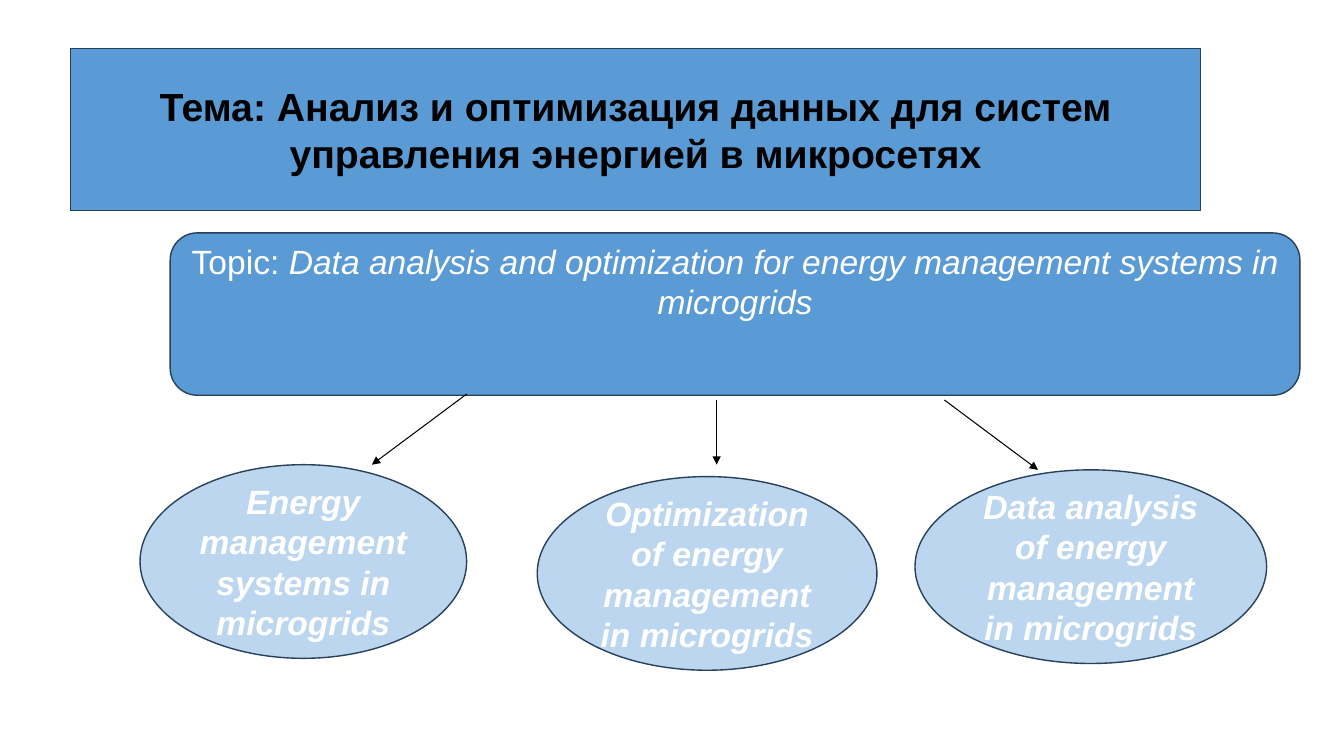
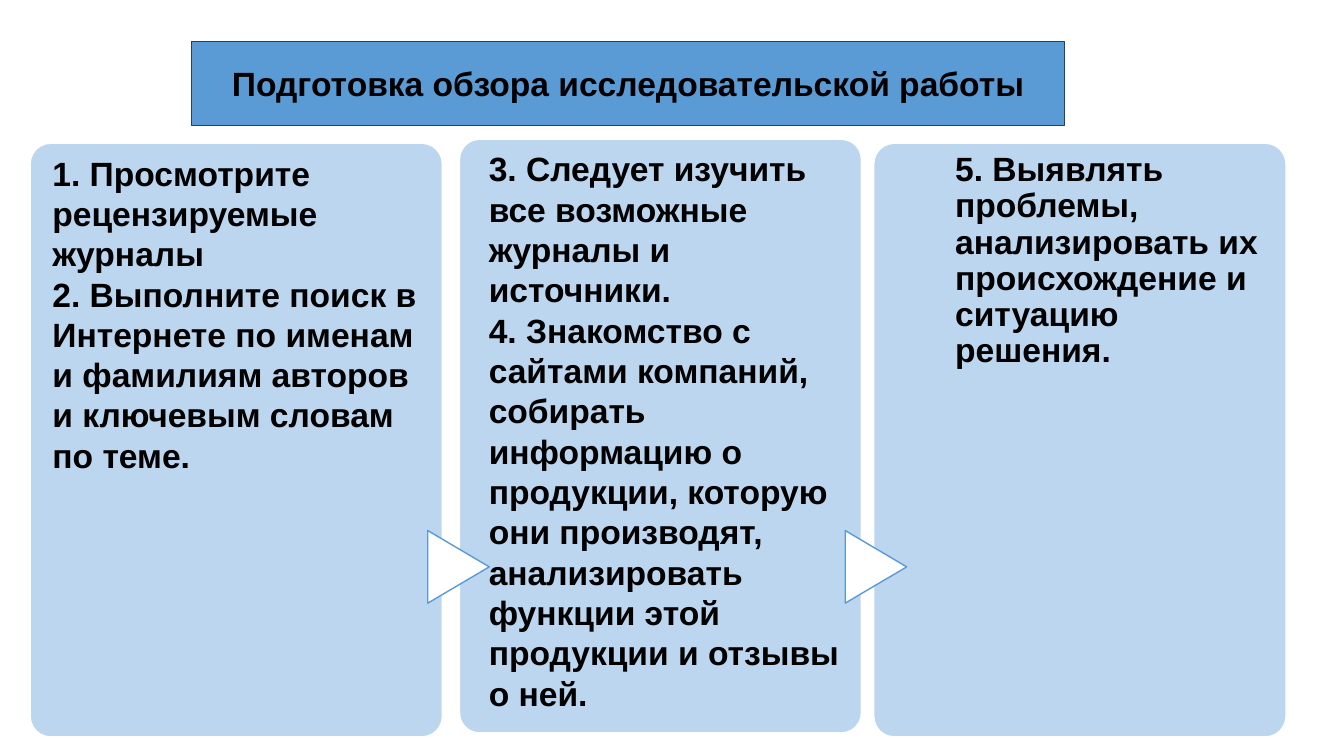
"""Build two slides on data analysis for microgrid energy management."""
from dataclasses import dataclass
from typing import NamedTuple

from lxml.etree import SubElement as Sub
from pptx import Presentation
from pptx.dml.color import RGBColor
from pptx.enum.shapes import MSO_CONNECTOR as Link, MSO_SHAPE as Kind
from pptx.enum.text import MSO_ANCHOR as Anchor, MSO_AUTO_SIZE as Fit, PP_ALIGN as Align
from pptx.oxml.ns import qn
from pptx.util import Cm, Pt

BLUE = RGBColor(0x5B, 0x9B, 0xD5)
PALE = RGBColor(0xBB, 0xD6, 0xEE)
NAVY = RGBColor(0x26, 0x41, 0x59)
EDGE = RGBColor(0x59, 0x9B, 0xD5)
WHITE = RGBColor(0xFF, 0xFF, 0xFF)
BLACK = RGBColor(0x00, 0x00, 0x00)

BASE = {"name": "Arial", "size": Pt(24), "bold": False, "italic": False}
BOLD = BASE | {"bold": True}
HEAD = BOLD | {"size": Pt(28)}
SLANT = BASE | {"italic": True}
STRONG = BOLD | {"italic": True}
MID = {"word_wrap": True, "auto_size": Fit.NONE, "vertical_anchor": Anchor.MIDDLE,
       "margin_left": Cm(0.25), "margin_right": Cm(0.25),
       "margin_top": Cm(0.13), "margin_bottom": Cm(0.13)}
TOP = MID | {"vertical_anchor": Anchor.TOP, "margin_top": Cm(0)}
CENTRE = {"alignment": Align.CENTER, "space_before": Pt(0)}
LEFT = {"alignment": Align.LEFT, "space_before": Pt(0)}


class Box(NamedTuple):
    """Position and size in centimetres."""
    left: float
    top: float
    width: float
    height: float


class Arrow(NamedTuple):
    """Start and end of an arrow in centimetres."""
    x: float
    y: float
    to_x: float
    to_y: float


class Run(NamedTuple):
    """Words with one font format."""
    text: str
    font: dict


@dataclass(frozen=True)
class Topic:
    """One oval with its label."""
    box: Box
    text: str


@dataclass(frozen=True)
class Panel:
    """One column of steps."""
    box: Box
    left: float
    right: float
    space: float
    steps: tuple[str, ...]


TOPICS = (
    Topic(Box(3.53, 11.71, 8.23, 4.88), "Energy management systems in microgrids"),
    Topic(Box(13.54, 12.01, 8.56, 4.88), "Optimization of energy management in microgrids"),
    Topic(Box(23.06, 11.84, 8.86, 4.88), "Data analysis of energy management in microgrids"),
)
ARROWS = (Arrow(11.76, 9.93, 9.37, 11.71), Arrow(18.06, 10.08, 18.06, 11.71),
          Arrow(23.8, 10.08, 26.16, 11.84))
PANELS = (
    Panel(Box(0.76, 3.61, 10.39, 14.96), 0.41, 0.43, 1.0, (
        "1. Просмотрите рецензируемые журналы",
        "2. Выполните поиск в Интернете по именам и фамилиям авторов "
        "и ключевым словам по теме.")),
    Panel(Box(11.58, 3.51, 10.13, 14.96), 0.59, 0.38, 1.0, (
        "3. Следует изучить все возможные журналы и источники.",
        "4. Знакомство с сайтами компаний, собирать информацию о продукции, "
        "которую они производят, анализировать функции этой продукции "
        "и отзывы о ней.")),
    Panel(Box(22.02, 3.61, 10.39, 14.96), 1.9, 0.43, 0.9, (
        "5. Выявлять проблемы, анализировать их происхождение и ситуацию решения.",)),
)
WEDGES = (Box(10.64, 13.51, 1.83, 1.55), Box(21.16, 13.51, 1.83, 1.55))


def apply(item, form: dict) -> None:
    """Set each format value on an item."""
    for name, value in form.items():
        setattr(item, name, value)


def paint(shape, fill: RGBColor, line: RGBColor) -> None:
    """Give a shape its fill and outline."""
    shape.fill.solid()
    shape.fill.fore_color.rgb = fill
    shape.line.color.rgb = line
    shape.line.width = Pt(1)


def draw(slide, kind: Kind, box: Box, fill: RGBColor, line: RGBColor):
    """Add a flat preset shape."""
    shape = slide.shapes.add_shape(kind, *map(Cm, box))
    shape.shadow.inherit = False
    paint(shape, fill, line)
    return shape


def mould(shape, box: Box, curve: int, fill: RGBColor, line: RGBColor) -> None:
    """Turn a placeholder into a rounded, filled box."""
    apply(shape, dict(zip(Box._fields, map(Cm, box))))
    form = Sub(shape.element.spPr, qn("a:prstGeom"), prst="roundRect")
    Sub(Sub(form, qn("a:avLst")), qn("a:gd"), name="adj", fmla=f"val {curve}")
    paint(shape, fill, line)


def write(shape, lines: list[list[Run]], ink: RGBColor, frame: dict, para: dict) -> None:
    """Fill a shape with paragraphs of formatted runs."""
    text = shape.text_frame
    apply(text, frame)
    for index, runs in enumerate(lines):
        par = text.add_paragraph() if index else text.paragraphs[0]
        props = par._p.get_or_add_pPr()
        props.set("marL", "0")
        props.set("indent", "0")
        Sub(props, qn("a:buNone"))
        apply(par, para)
        for words, font in runs:
            run = par.add_run()
            run.text = words
            apply(run.font, font)
            run.font.color.rgb = ink


def title(slide, box: Box, text: str, font: dict) -> None:
    """Set the title in its blue band."""
    shape = slide.shapes.title
    mould(shape, box, 16667, BLUE, NAVY)
    write(shape, [[Run(text, font)]], BLACK, MID, CENTRE)


def point(slide, arrow: Arrow) -> None:
    """Add a black arrow."""
    link = slide.shapes.add_connector(Link.STRAIGHT, *map(Cm, arrow))
    link.line.color.rgb = BLACK
    link.line.width = Pt(0.75)
    Sub(link.line._get_or_add_ln(), qn("a:tailEnd"), type="triangle")
    Sub(link.element.spPr, qn("a:effectLst"))


def theme(deck) -> None:
    """Build the slide with the topic and its parts."""
    slide = deck.slides.add_slide(deck.slide_layouts[5])
    title(slide, Box(1.78, 1.22, 28.47, 4.09),
          "Тема: Анализ и оптимизация данных для систем управления энергией в микросетях", HEAD)
    band = draw(slide, Kind.ROUNDED_RECTANGLE, Box(4.29, 5.87, 28.47, 4.09), BLUE, NAVY)
    write(band, [[Run("Topic: ", BASE),
                  Run("Data analysis and optimization for energy management systems "
                      "in microgrids", SLANT)]], WHITE, TOP, CENTRE)
    for topic in TOPICS:
        oval = draw(slide, Kind.OVAL, topic.box, PALE, NAVY)
        write(oval, [[Run(topic.text, STRONG)]], WHITE, MID, CENTRE)
    for arrow in ARROWS:
        point(slide, arrow)


def review(deck) -> None:
    """Build the slide with the steps of the review."""
    slide = deck.slides.add_slide(deck.slide_layouts[4])
    title(slide, Box(4.83, 1.04, 22, 2.13), "Подготовка обзора исследовательской работы", BOLD)
    _, *bodies, spare = slide.placeholders
    spare.element.getparent().remove(spare.element)
    for body, panel in zip(bodies, PANELS):
        mould(body, panel.box, 5000, PALE, WHITE)
        frame = TOP | {"margin_left": Cm(panel.left), "margin_right": Cm(panel.right),
                       "margin_top": Cm(0.08), "margin_bottom": Cm(0)}
        write(body, [[Run(step, BOLD)] for step in panel.steps], BLACK, frame,
              LEFT | {"line_spacing": panel.space})
    for box in WEDGES:
        draw(slide, Kind.FLOWCHART_EXTRACT, box, WHITE, EDGE).rotation = 90


def main() -> None:
    """Build and save the deck."""
    deck = Presentation()
    deck.slide_width, deck.slide_height = Cm(33.87), Cm(19.05)
    theme(deck)
    review(deck)
    deck.save("out.pptx")


if __name__ == "__main__":
    main()
